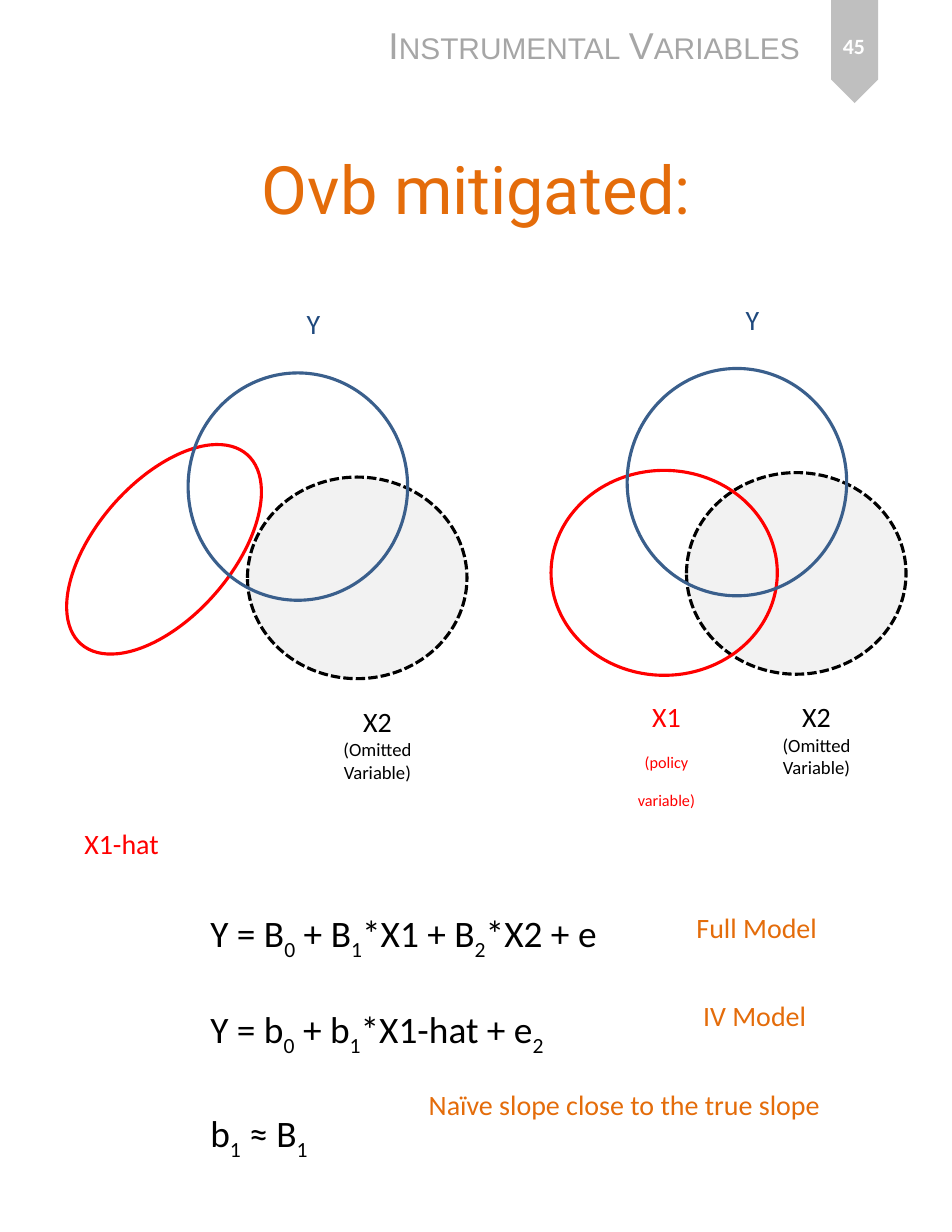
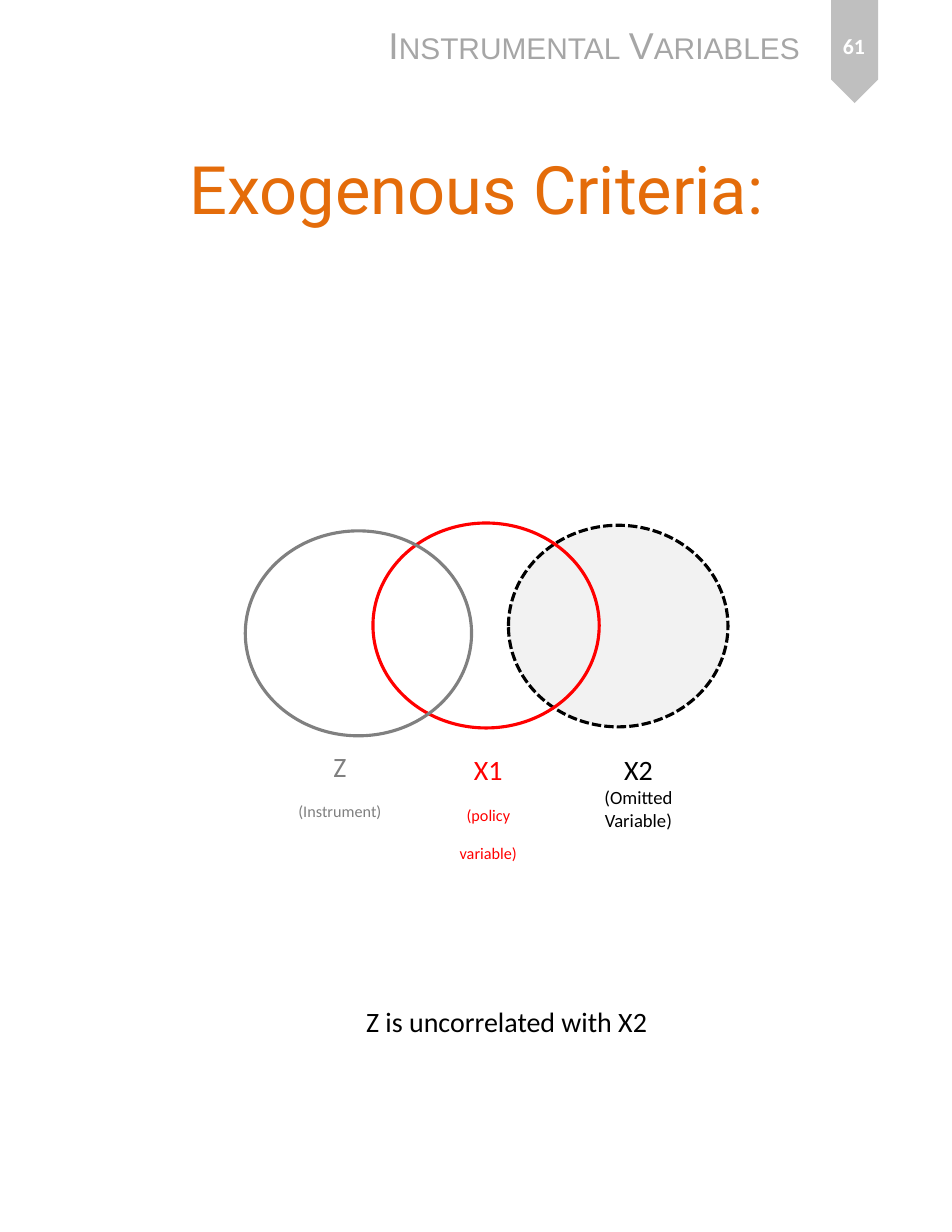
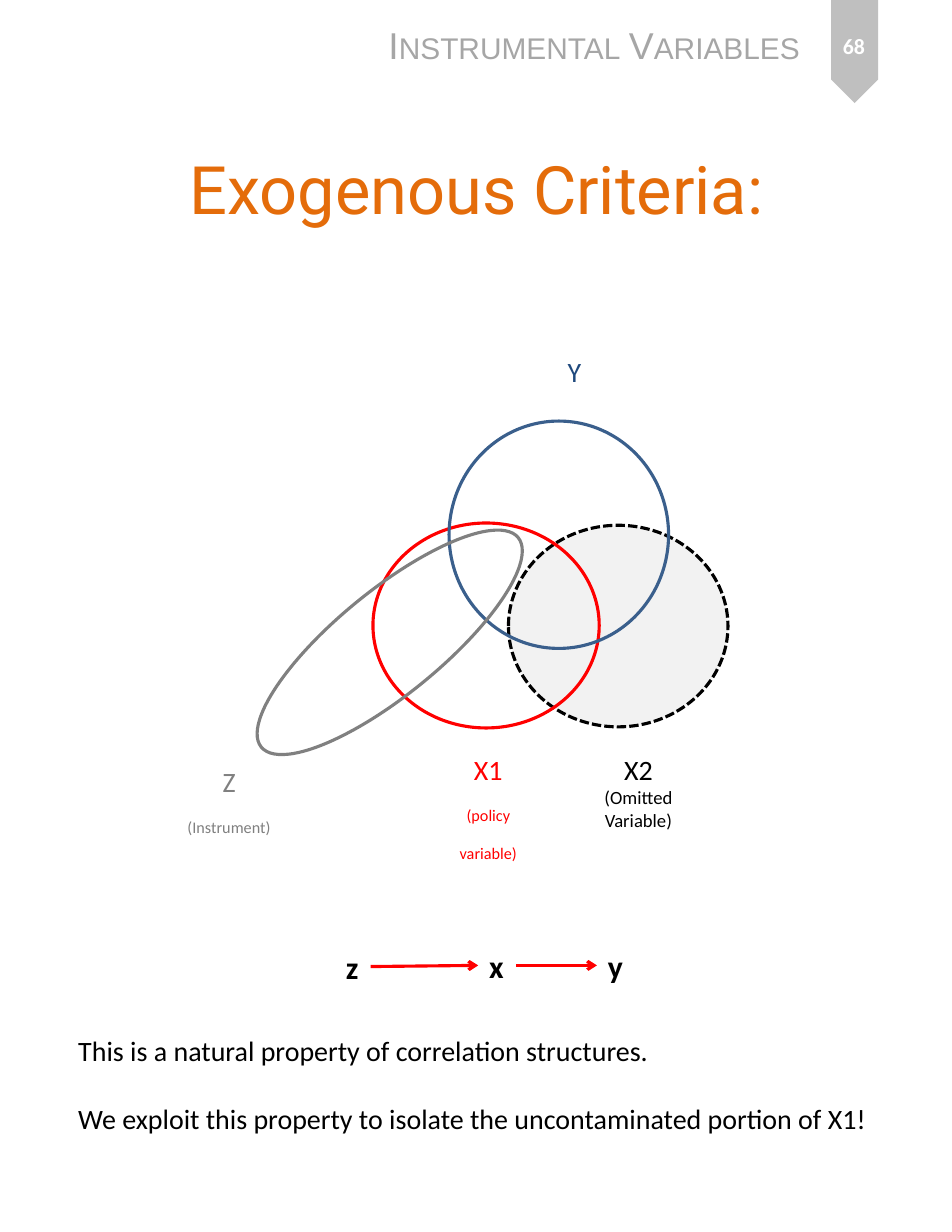
from dataclasses import dataclass, field
from typing import Any

from pptx import Presentation
from pptx.dml.color import RGBColor
from pptx.enum.dml import MSO_LINE as Dash
from pptx.enum.shapes import MSO_CONNECTOR as Conn, MSO_SHAPE as Kind
from pptx.enum.text import MSO_ANCHOR as Anchor, MSO_AUTO_SIZE as Fit, PP_ALIGN as Align
from pptx.oxml.ns import qn
from pptx.util import Inches, Pt
from lxml.etree import SubElement as Sub

# Shared colours
BLACK, WHITE, RED, GRAY = "000000", "FFFFFF", "FF0000", "808080"
BLUE, NAVY, ORANGE = "3A5F8C", "1F497D", "E46C0A"
BAND, HEAD, PALE = "BFBFBF", "A6A6A6", "F2F2F2"
LOW = "-25000"  # subscript offset


def rgb(code: str) -> RGBColor:
    return RGBColor.from_string(code)


@dataclass
class Ring:
    """An ellipse outline."""
    x: float
    y: float
    w: float
    h: float
    color: str
    turn: float = 0
    fill: str = ""
    dash: Any = None


@dataclass
class Run:
    text: str
    size: float = 0  # 0 takes the size of the box
    low: bool = False


@dataclass
class Par:
    runs: list[Run]
    gap: float = 0


@dataclass
class Box:
    """A text box with one main font."""
    x: float
    y: float
    w: float
    h: float
    pars: list[Par]
    size: float = 18
    color: str = BLACK
    face: str = "Calibri"
    align: Any = Align.LEFT
    anchor: Any = Anchor.TOP
    wrap: bool = True
    style: dict[str, Any] = field(default_factory=dict)
    caps: bool = False


def plain(text: str, gap: float = 0) -> Par:
    return Par([Run(text)], gap)


def maths(text: str, gap: float = 0) -> Par:
    """Split a formula so that the digit after each underscore is a subscript."""
    first, *rest = text.split("_")
    runs = [Run(first)]
    for part in rest:
        runs.append(Run(part[0], low=True))
        if part[1:]:
            runs.append(Run(part[1:]))
    return Par(runs, gap)


# Drawing
def draw_box(slide: Any, box: Box) -> None:
    shape = slide.shapes.add_textbox(*map(Inches, (box.x, box.y, box.w, box.h)))
    frame = shape.text_frame
    frame.word_wrap = box.wrap
    frame.auto_size = Fit.NONE if box.wrap else Fit.SHAPE_TO_FIT_TEXT
    frame.vertical_anchor = box.anchor
    for i, par in enumerate(box.pars):
        line = frame.add_paragraph() if i else frame.paragraphs[0]
        line.alignment = box.align
        if par.gap:
            line.space_before = Pt(par.gap)
        for part in par.runs:
            if part.text == "\n":
                line.add_line_break()
                continue
            run = line.add_run()
            run.text = part.text
            form = {"name": box.face, "size": Pt(part.size or box.size), **box.style}
            for key, value in form.items():
                setattr(run.font, key, value)
            run.font.color.rgb = rgb(box.color)
            props = run._r.get_or_add_rPr()
            if part.low:
                props.set("baseline", LOW)
            if box.caps:
                props.set("cap", "small")


def draw_ring(slide: Any, ring: Ring) -> None:
    spot = map(Inches, (ring.x, ring.y, ring.w, ring.h))
    shape = slide.shapes.add_shape(Kind.OVAL, *spot)
    shape.shadow.inherit = False
    shape.rotation = ring.turn
    if ring.fill:
        shape.fill.solid()
        shape.fill.fore_color.rgb = rgb(ring.fill)
    else:
        shape.fill.background()
    shape.line.color.rgb = rgb(ring.color)
    form = {"width": Pt(2), "dash_style": ring.dash}
    for key, value in form.items():
        setattr(shape.line, key, value)


def draw_arrow(slide: Any, x1: float, y1: float, x2: float, y2: float) -> None:
    link = slide.shapes.add_connector(Conn.STRAIGHT, *map(Inches, (x1, y1, x2, y2)))
    link.line.color.rgb = rgb(RED)
    link.line.width = Pt(2)
    Sub(link.line._get_or_add_ln(), qn("a:tailEnd"), type="arrow")
    Sub(link._element.spPr, qn("a:effectLst"))


def draw_all(slide: Any, *items: Ring | Box) -> None:
    for item in items:
        if isinstance(item, Ring):
            draw_ring(slide, item)
        else:
            draw_box(slide, item)


# Parts of the diagrams; x, y is the top left of the Y circle
def y_set(x: float, y: float) -> list[Ring | Box]:
    return [Ring(x, y, 1.96, 2.03, BLUE),
            Box(x + 0.96, y - 0.64, 0.48, 0.4, [plain("Y")], color=NAVY)]


def x1_set(x: float, y: float) -> list[Ring | Box]:
    return [Ring(x - 0.68, y + 0.91, 2.02, 1.83, RED),
            named(x - 0.06, y + 2.91, 0.82, 0.81, "X1", "(policy variable)", RED)]


def x2_set(x: float, y: float) -> list[Ring | Box]:
    pars = [Par([Run("X2"), Run("\n"), Run("(Omitted Variable)", 12)])]
    return [Ring(x + 0.53, y + 0.93, 1.96, 1.8, BLACK, fill=PALE, dash=Dash.SQUARE_DOT),
            Box(x + 0.98, y + 2.91, 1.42, 0.81, pars, align=Align.CENTER)]


def named(x: float, y: float, w: float, h: float, name: str, role: str, color: str) -> Box:
    pars = [plain(name), Par([Run(role, low=True)])]
    return Box(x, y, w, h, pars, color=color, align=Align.CENTER)


def z_name(x: float, y: float) -> Box:
    return named(x, y, 1.25, 0.61, "Z", "(Instrument)", GRAY)


def new_slide(deck: Any, page: str, title: str) -> Any:
    """Add a slide with its header, page tag and title."""
    slide = deck.slides.add_slide(deck.slide_layouts[6])
    tag = slide.shapes.add_shape(Kind.PENTAGON, *map(Inches, (7.17, 0.25, 0.92, 0.42)))
    tag.shadow.inherit = False
    tag.rotation = 90
    tag.fill.solid()
    tag.fill.fore_color.rgb = rgb(BAND)
    tag.line.fill.background()
    draw_all(
        slide,
        Box(3.37, 0.15, 3.89, 0.5, [plain("Instrumental Variables")], 24, HEAD,
            "Arial", wrap=False, caps=True),
        Box(7.29, 0.11, 0.67, 0.59, [plain(page)], 14, WHITE, align=Align.CENTER,
            anchor=Anchor.MIDDLE, style={"bold": True}),
        Box(0.43, 1.27, 7.65, 1.83, [plain(title)], 42.9, ORANGE, "Roboto",
            align=Align.CENTER))
    return slide


# Slides
def bias(deck: Any) -> None:
    slide = new_slide(deck, "45", "Ovb mitigated:")
    left, right = (1.68, 3.33), (5.6, 3.29)
    draw_all(
        slide,
        *x2_set(*left),
        Ring(0.86, 3.78, 1.21, 2.25, RED, turn=41.2),
        Box(0.49, 7.33, 1.19, 0.4, [plain("X1-hat")], color=RED, align=Align.CENTER),
        *y_set(*left),
        *x2_set(*right), *x1_set(*right), *y_set(*right),
        Box(1.78, 8.08, 3.73, 1.99,
            [maths("Y = B_0 + B_1*X1 + B_2*X2 + e"),
             maths("Y = b_0 + b_1*X1-hat + e_2", 29),
             maths("b_1 ≈ B_1", 34)], 24, wrap=False))
    notes = [(6.12, 8.08, 1.29, "Full Model"), (6.18, 8.87, 1.13, "IV Model"),
             (3.73, 9.66, 3.74, "Naïve slope close to the true slope")]
    for x, y, w, text in notes:
        draw_box(slide, Box(x, y, w, 0.4, [plain(text)], color=ORANGE, wrap=False))


def apart(deck: Any) -> None:
    slide = new_slide(deck, "61", "Exogenous Criteria:")
    spot = (4.01, 3.76)
    draw_all(
        slide,
        *x2_set(*spot), *x1_set(*spot),
        Ring(2.19, 4.74, 2.02, 1.83, GRAY),
        z_name(2.41, 6.64),
        Box(3.17, 8.92, 2.74, 0.4, [plain("Z is uncorrelated with X2")], wrap=False))


def chain(deck: Any) -> None:
    slide = new_slide(deck, "68", "Exogenous Criteria:")
    spot = (4.01, 3.76)
    draw_all(
        slide,
        *x2_set(*spot), *x1_set(*spot), *y_set(*spot),
        Ring(2, 5.27, 2.96, 0.93, GRAY, turn=320.8),
        z_name(1.42, 6.78))
    # Causal chain
    for x, y, text in [(2.99, 8.41, "z"), (4.27, 8.4, "x"), (5.33, 8.4, "y")]:
        draw_box(slide, Box(x, y, 0.33, 0.44, [plain(text)], 20.4, wrap=False,
                            style={"bold": True}))
    draw_arrow(slide, 3.31, 8.63, 4.27, 8.62)
    draw_arrow(slide, 4.61, 8.62, 5.33, 8.62)
    draw_box(slide, Box(
        0.6, 9.18, 7.32, 1.01,
        [plain("This is a natural property of correlation structures."),
         plain("We exploit this property to isolate the uncontaminated portion of X1!", 22)],
        wrap=False))


def main() -> None:
    deck = Presentation()
    deck.slide_width, deck.slide_height = Inches(8.5), Inches(11)
    for build in (bias, apart, chain):
        build(deck)
    deck.save("out.pptx")


if __name__ == "__main__":
    main()
